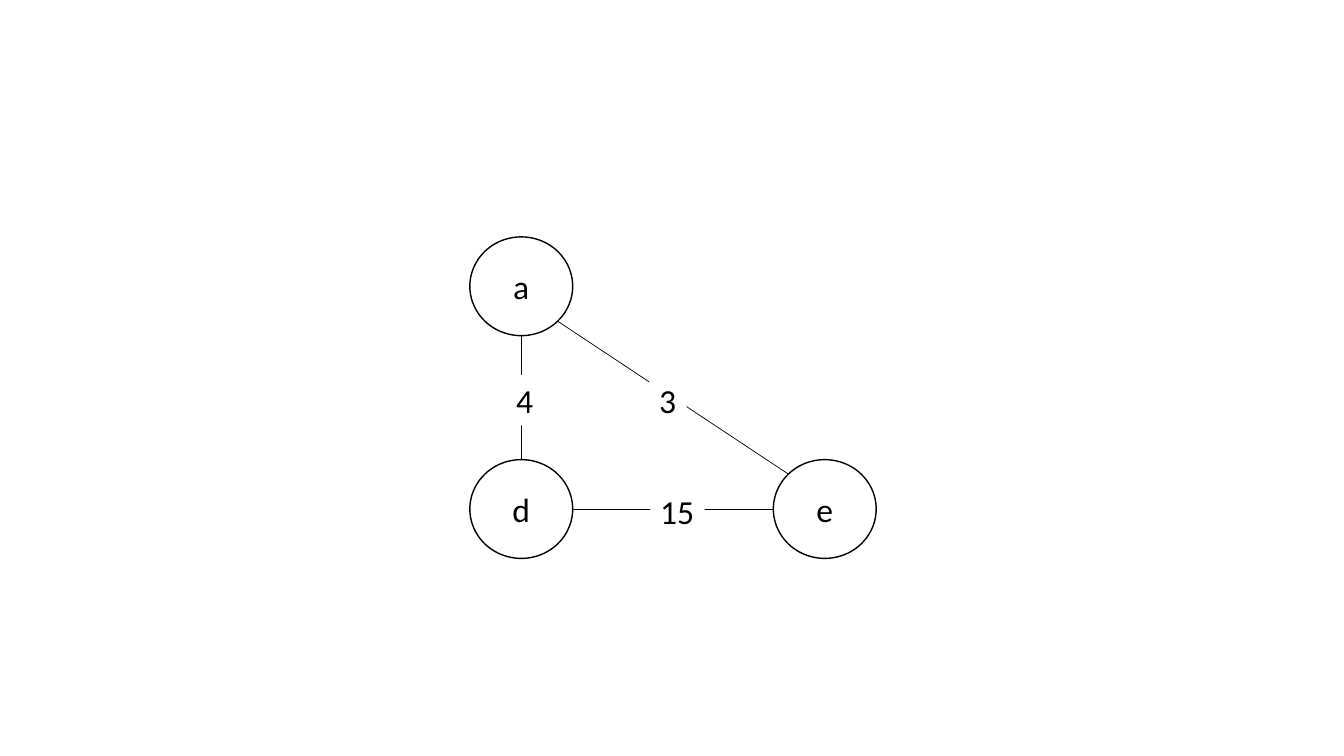
from math import sqrt
from typing import NamedTuple

from lxml import etree
from pptx import Presentation
from pptx import util as u
from pptx.dml import color
from pptx.enum import shapes, text
from pptx.oxml import ns

BLACK = "000000"
WHITE = "FFFFFF"
WIDE, HIGH = 1.02, 0.98
DIAG = 1 / sqrt(2)


class Node(NamedTuple):
    name: str
    left: float
    top: float

    def rim(self, across: float, down: float) -> tuple[float, float]:
        return (self.left + WIDE / 2 * (1 + across),
                self.top + HIGH / 2 * (1 + down))


class Edge(NamedTuple):
    start: Node
    end: Node
    across: float
    down: float


class Weight(NamedTuple):
    value: str
    left: float
    top: float
    width: float


A = Node("a", 4.66, 2.35)
D = Node("d", 4.66, 4.56)
E = Node("e", 7.67, 4.56)
NODES = [A, D, E]
EDGES = [Edge(E, D, -1, 0), Edge(D, A, 0, -1), Edge(E, A, -DIAG, -DIAG)]
WEIGHTS = [
    Weight("3", 6.44, 3.72, 0.37),
    Weight("4", 5.02, 3.72, 0.37),
    Weight("15", 6.45, 4.82, 0.54),
]


def rgb(code: str) -> color.RGBColor:
    return color.RGBColor.from_string(code)


def write(frame, words: str) -> None:
    frame.text = words
    font = frame.paragraphs[0].runs[0].font
    font.name = "Calibri"
    font.size = u.Pt(24)
    font.color.rgb = rgb(BLACK)


def draw_node(slide, node: Node) -> None:
    disc = slide.shapes.add_shape(
        shapes.MSO_SHAPE.FLOWCHART_CONNECTOR, u.Inches(node.left),
        u.Inches(node.top), u.Inches(WIDE), u.Inches(HIGH))
    disc.shadow.inherit = False
    disc.fill.background()
    disc.line.color.rgb = rgb(BLACK)
    disc.line.width = u.Pt(1)
    frame = disc.text_frame
    write(frame, node.name)
    frame.vertical_anchor = text.MSO_ANCHOR.MIDDLE
    frame.paragraphs[0].alignment = text.PP_ALIGN.CENTER


def draw_edge(slide, edge: Edge) -> None:
    ends = (edge.start.rim(edge.across, edge.down)
            + edge.end.rim(-edge.across, -edge.down))
    line = slide.shapes.add_connector(
        shapes.MSO_CONNECTOR.STRAIGHT, *map(u.Inches, ends))
    line.line.color.rgb = rgb(BLACK)
    line.line.width = u.Pt(0.5)
    etree.SubElement(line._element.spPr, ns.qn("a:effectLst"))


def draw_weight(slide, weight: Weight) -> None:
    box = slide.shapes.add_textbox(
        u.Inches(weight.left), u.Inches(weight.top),
        u.Inches(weight.width), u.Inches(0.5))
    box.fill.solid()
    box.fill.fore_color.rgb = rgb(WHITE)
    frame = box.text_frame
    write(frame, weight.value)
    frame.word_wrap = False
    frame.auto_size = text.MSO_AUTO_SIZE.SHAPE_TO_FIT_TEXT


def main() -> None:
    deck = Presentation()
    deck.slide_width = u.Inches(13.33)
    deck.slide_height = u.Inches(7.5)
    slide = deck.slides.add_slide(deck.slide_layouts[6])
    for node in NODES:
        draw_node(slide, node)
    for edge in EDGES:
        draw_edge(slide, edge)
    for weight in WEIGHTS:
        draw_weight(slide, weight)
    deck.save("out.pptx")


if __name__ == "__main__":
    main()
